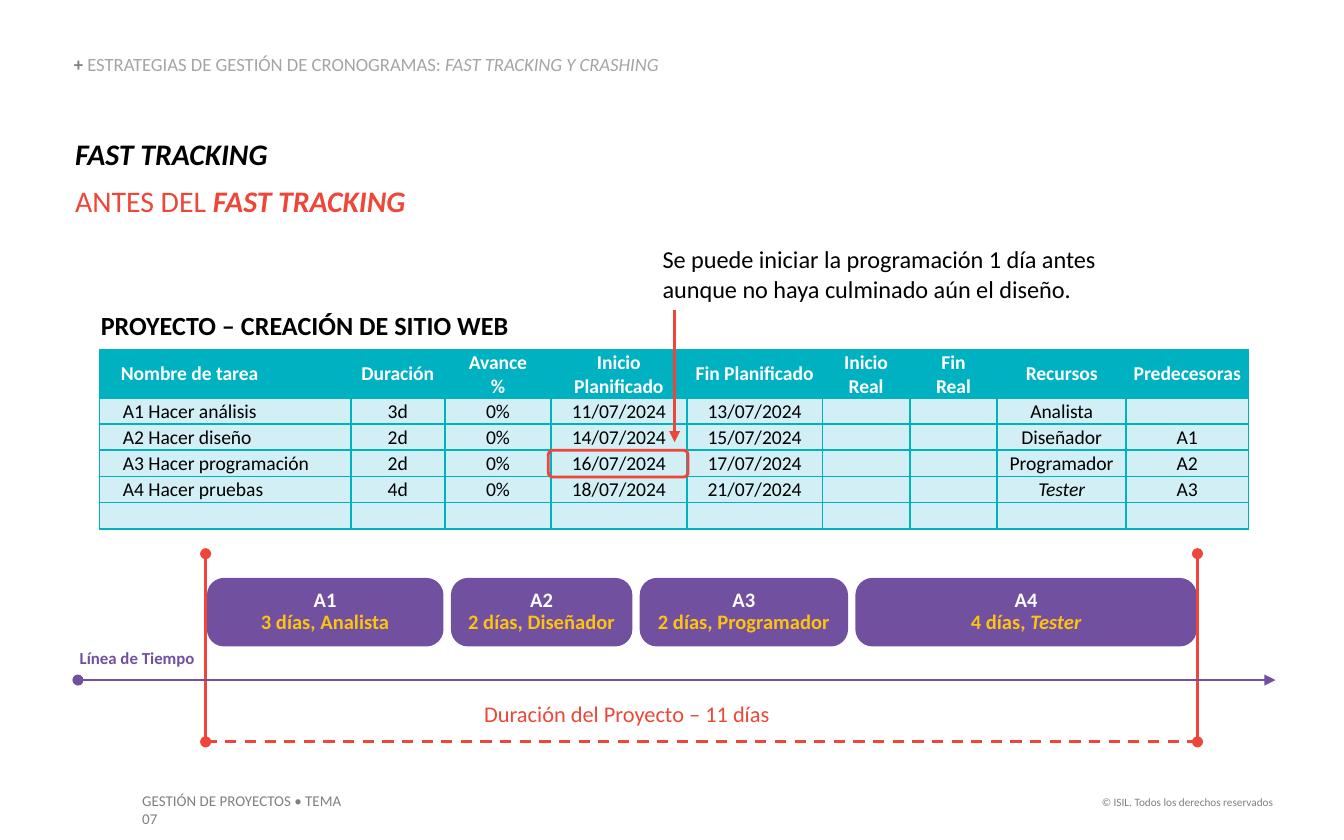
from lxml import etree
from pptx import Presentation, util as u
from pptx.dml.color import RGBColor
from pptx.enum import dml, shapes, text
from pptx.oxml.ns import qn

COLUMNS, ROWS = 100, 62.5
UNIT = u.Inches(10) / COLUMNS
FONT = "Calibri"
COLOURS = {
    "black": "000000", "white": "FFFFFF", "grey": "7F7F7F", "silver": "A5A5A5",
    "red": "EE4638", "purple": "7150A0", "yellow": "FDC212",
    "teal": "00B1C2", "pale": "D1EFF4",
}
LEFT, CENTER, RIGHT = text.PP_ALIGN.LEFT, text.PP_ALIGN.CENTER, text.PP_ALIGN.RIGHT

COLUMN_WIDTHS = [18.7, 7, 7.9, 10.1, 10.1, 6.5, 6.5, 9.6, 9.1]
HEADINGS = ["Nombre de tarea", "Duración", "Avance\v%", "Inicio\vPlanificado",
            "Fin Planificado", "Inicio\vReal", "Fin\vReal", "Recursos", "Predecesoras"]
TASKS = [
    ["A1 Hacer análisis", "3d", "0%", "11/07/2024", "13/07/2024", "", "", "Analista", ""],
    ["A2 Hacer diseño", "2d", "0%", "14/07/2024", "15/07/2024", "", "", "Diseñador", "A1"],
    ["A3 Hacer programación", "2d", "0%", "16/07/2024", "17/07/2024", "", "", "Programador", "A2"],
    ["A4 Hacer pruebas", "4d", "0%", "18/07/2024", "21/07/2024", "", "", "Tester", "A3"],
    [""] * len(HEADINGS),
]
BARS = [("A1", "3 días, ", "Analista", 17.6), ("A2", "2 días, ", "Diseñador", 13.5),
        ("A3", "2 días, ", "Programador", 15.5), ("A4", "4 días, ", "Tester", 25.4)]


def grid(*cells):
    return [u.Emu(round(cell * UNIT)) for cell in cells]


def rgb(colour):
    return RGBColor.from_string(COLOURS[colour])


def style(font, size, colour, bold=False, italic=False):
    font.name, font.size = FONT, u.Pt(size)
    font.bold, font.italic = bold, italic
    font.color.rgb = rgb(colour)


def write(frame, lines, size, align=LEFT, spacing=None, before=0, margins=(0, 0)):
    frame.word_wrap = True
    frame.margin_left = frame.margin_right = grid(margins[0])[0]
    frame.margin_top = frame.margin_bottom = grid(margins[1])[0]
    for index, runs in enumerate(lines):
        paragraph = frame.add_paragraph() if index else frame.paragraphs[0]
        paragraph.alignment = align
        if spacing:
            paragraph.line_spacing = spacing
        if index and before:
            paragraph.space_before = u.Pt(before)
        for words, *look in runs:
            run = paragraph.add_run()
            run.text = words
            style(run.font, size, *look)


def place_text(slide, box, lines, size, anchor=text.MSO_ANCHOR.TOP, **layout):
    frame = slide.shapes.add_textbox(*grid(*box)).text_frame
    frame.vertical_anchor = anchor
    write(frame, lines, size, **layout)


def draw_line(slide, start, end, colour, width, head=None, tail=None, dashed=False):
    line = slide.shapes.add_connector(shapes.MSO_CONNECTOR.STRAIGHT, *grid(*start, *end))
    line.line.color.rgb, line.line.width = rgb(colour), u.Pt(width)
    if dashed:
        line.line.dash_style = dml.MSO_LINE.DASH
    properties = line._element.spPr
    outline = properties.find(qn("a:ln"))
    for tag, kind in (("a:headEnd", head), ("a:tailEnd", tail)):
        if kind:
            etree.SubElement(outline, qn(tag), type=kind)
    etree.SubElement(properties, qn("a:effectLst"))


def round_box(slide, box, rounding):
    shape = slide.shapes.add_shape(shapes.MSO_SHAPE.ROUNDED_RECTANGLE, *grid(*box))
    shape.adjustments[0] = rounding
    shape.shadow.inherit = False
    return shape


def border(cell, sides):
    properties = cell._tc.get_or_add_tcPr()
    for position, side in enumerate(sides):
        edge = etree.Element(qn(f"a:ln{side}"), w=str(u.Pt(1)))
        fill = etree.SubElement(edge, qn("a:solidFill"))
        etree.SubElement(fill, qn("a:srgbClr"), val=COLOURS["teal"])
        properties.insert(position, edge)


def fill_cell(cell, words, size, align, indent, colour, bold, fill, sides):
    cell.vertical_anchor = text.MSO_ANCHOR.MIDDLE
    cell.margin_left, cell.margin_right, cell.margin_top, cell.margin_bottom = grid(indent, 0.1, 0.1, 0)
    paragraph = cell.text_frame.paragraphs[0]
    paragraph.text = words
    paragraph.alignment = align
    for run in paragraph.runs:
        style(run.font, size, colour, bold, words == "Tester")
    points = str(round(size * 100))
    for line_break in paragraph._p.findall(qn("a:br")):
        etree.SubElement(line_break, qn("a:rPr"), sz=points)
    etree.SubElement(paragraph._p, qn("a:endParaRPr"), sz=points)
    if fill:
        cell.fill.solid()
        cell.fill.fore_color.rgb = rgb(fill)
    else:
        cell.fill.background()
    border(cell, sides)


def task_table(slide, left, top):
    heights = [3.5, 3.5] + [1.95] * len(TASKS)
    box = grid(left, top, sum(COLUMN_WIDTHS), sum(heights))
    table = slide.shapes.add_table(len(heights), len(COLUMN_WIDTHS), *box).table
    table.first_row = table.horz_banding = False
    for column, width in zip(table.columns, grid(*COLUMN_WIDTHS)):
        column.width = width
    for row, height in zip(table.rows, grid(*heights)):
        row.height = height
    table.cell(0, 0).merge(table.cell(0, len(COLUMN_WIDTHS) - 1))
    fill_cell(table.cell(0, 0), "PROYECTO – CREACIÓN DE SITIO WEB", 14, LEFT, 0.1, "black", True, None, "B")
    for r, entries in enumerate([HEADINGS] + TASKS, 1):
        heading = r == 1
        look = ("white", True, "teal") if heading else ("black", False, "pale")
        for c, words in enumerate(entries):
            align, indent = (CENTER, 0.1) if c else (LEFT, 1.6 if heading else 1.75)
            fill_cell(table.cell(r, c), words, 10.5, align, indent, *look, "LRTB")


def early_start_note(slide, left, top):
    marker = round_box(slide, (left, top + 15.3, 10.4, 2), 0.17)
    marker.fill.background()
    marker.line.color.rgb, marker.line.width = rgb("red"), u.Pt(1.5)
    note = "Se puede iniciar la programación 1 día antes aunque no haya culminado aún el diseño."
    place_text(slide, (left + 8.5, top, 33.9, 4.4), [[(note, "black")]], 13)
    arrow = left + 9.4
    draw_line(slide, (arrow, top + 4.9), (arrow, top + 14.7), "red", 1.5, tail="triangle")


def project_span(slide, left, top, width, height):
    right, bottom = left + width, top + height
    draw_line(slide, (left, bottom), (right, bottom), "red", 1.5, dashed=True)
    bar_left = left + 0.1
    for code, days, person, bar_width in BARS:
        bar = round_box(slide, (bar_left, top + 1.8, bar_width, 5.1), 0.25)
        bar.fill.solid()
        bar.fill.fore_color.rgb = rgb("purple")
        bar.line.fill.background()
        bar.text_frame.vertical_anchor = text.MSO_ANCHOR.MIDDLE
        effort = [(days + person, "yellow", True)]
        if person == "Tester":
            effort = [(days, "yellow", True), (person, "yellow", True, True)]
        write(bar.text_frame, [[(code, "white", True)], effort], 11, align=CENTER, spacing=0.9)
        bar_left += bar_width + 0.55
    for edge in (right, left):
        draw_line(slide, (edge, top), (edge, bottom), "red", 1.5, "oval", "oval")
    place_text(slide, (left + 14.4, bottom - 3.6, 33.9, 3),
               [[("Duración del Proyecto – 11 días", "red")]], 12, align=CENTER, margins=(1, 0.5))


def time_axis(slide, left, top, width):
    draw_line(slide, (left, top), (left + width, top), "purple", 1, "oval", "triangle")
    place_text(slide, (left, top - 2.4, 8.8, 1.6),
               [[("Línea de Tiempo", "purple", True)]], 9, align=CENTER)


def headings(slide, left, top):
    place_text(slide, (left, top, 49.4, 1.5),
               [[("+ ", "grey", True), ("ESTRATEGIAS DE GESTIÓN DE CRONOGRAMAS: ", "silver"),
                 ("FAST TRACKING Y CRASHING", "silver", False, True)]],
               10, anchor=text.MSO_ANCHOR.BOTTOM, spacing=0.9)
    place_text(slide, (left + 0.1, top + 6, 46.4, 6.2),
               [[("FAST TRACKING", "black", True, True)],
                [("ANTES DEL ", "red"), ("FAST TRACKING", "red", True, True)]], 16, before=6)


def footer(slide, top):
    place_text(slide, (79.1, top + 0.3, 16.6, 2),
               [[("© ISIL. Todos los derechos reservados", "grey")]], 6, align=RIGHT, margins=(1, 0.5))
    place_text(slide, (9.6, top, 17.5, 2.4),
               [[("GESTIÓN DE PROYECTOS • TEMA 07", "grey")]], 8, margins=(1, 0.5))


def main():
    deck = Presentation()
    deck.slide_width, deck.slide_height = grid(COLUMNS, ROWS)
    slide = deck.slides.add_slide(deck.slide_layouts[6])
    footer(slide, 58.4)
    task_table(slide, 7.4, 22.5)
    early_start_note(slide, 40.8, 18.2)
    project_span(slide, 15.3, 41.2, 73.8, 14)
    time_axis(slide, 5.8, 50.6, 89.1)
    headings(slide, 5.5, 4.1)
    deck.save("out.pptx")


if __name__ == "__main__":
    main()
